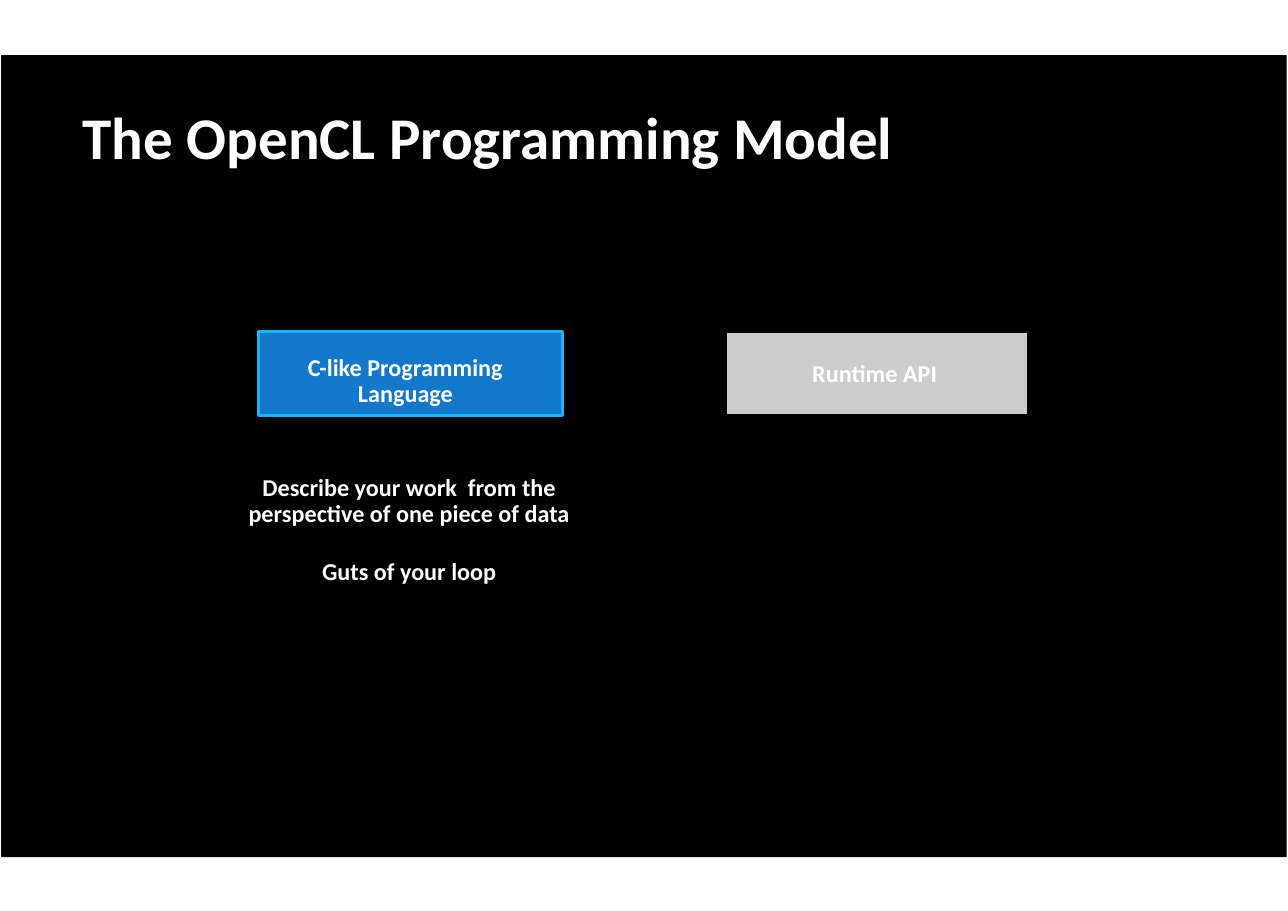
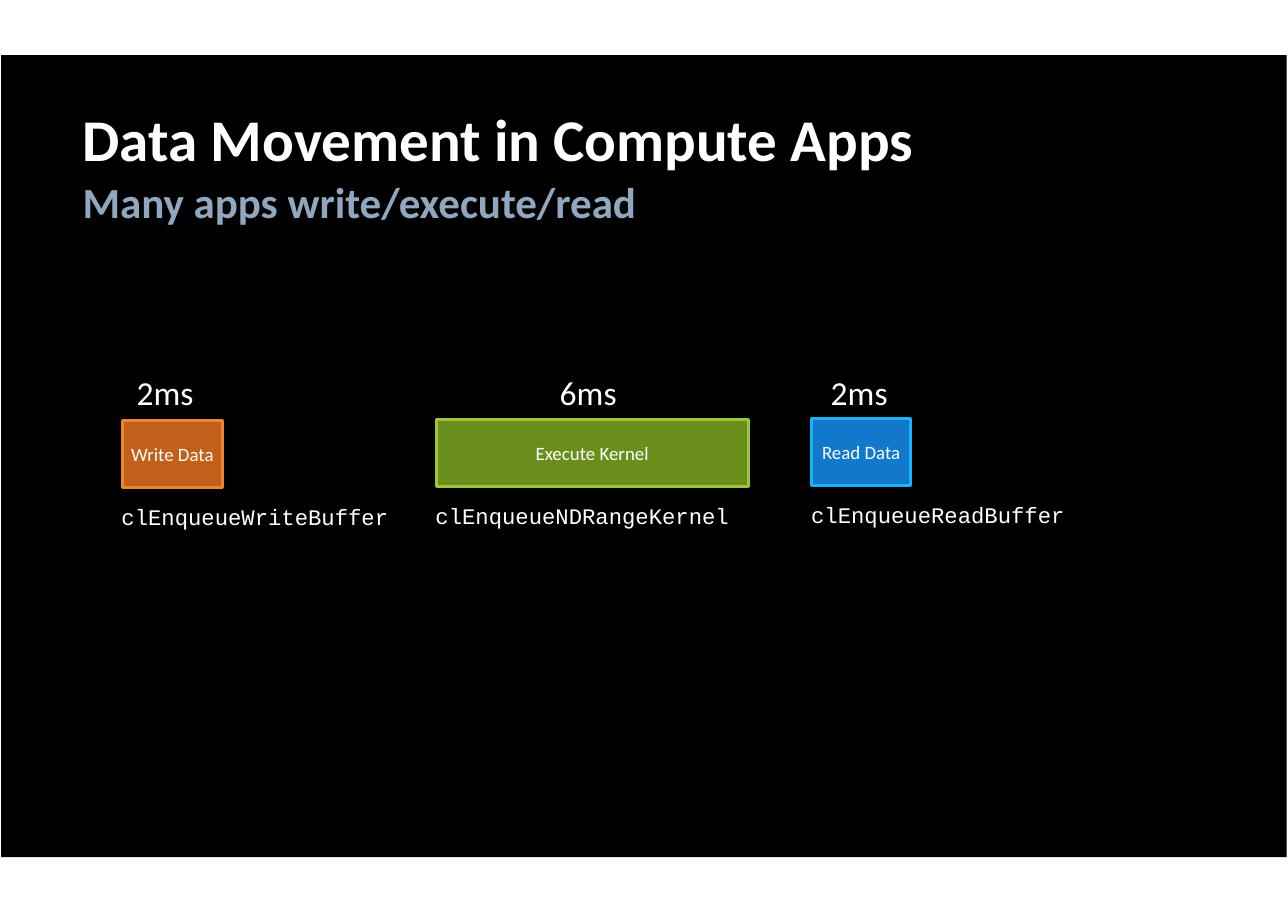
from dataclasses import dataclass

from pptx import Presentation
from pptx.dml.color import RGBColor
from pptx.enum.shapes import MSO_SHAPE
from pptx.enum.text import MSO_ANCHOR, MSO_AUTO_SIZE, PP_ALIGN
from pptx.shapes.autoshape import Shape
from pptx.slide import Slide
from pptx.text.text import TextFrame
from pptx.util import Pt

RECT = MSO_SHAPE.RECTANGLE
LEFT, CENTER = PP_ALIGN.LEFT, PP_ALIGN.CENTER
TOP, MIDDLE = MSO_ANCHOR.TOP, MSO_ANCHOR.MIDDLE
NO_FIT = MSO_AUTO_SIZE.NONE
TITLE_ONLY = 5


@dataclass(frozen=True)
class Theme:
    """Colours, fonts and type sizes of the deck."""
    black: str = "000000"
    white: str = "FFFFFF"
    subtitle: str = "90A7BF"
    grey: str = "CCCCCC"
    blue: str = "1178CC"
    blue_edge: str = "19B4FC"
    orange: str = "C15F1B"
    orange_edge: str = "EC8430"
    green: str = "6A8E1C"
    green_edge: str = "9BC63A"
    font: str = "Calibri"
    mono: str = "Courier New"
    title_size: float = 38.6
    subtitle_size: float = 28.1
    time_size: float = 21.9
    body_size: float = 15.8
    call_size: float = 14.5
    bar_size: float = 12.3


T = Theme()


@dataclass(frozen=True)
class Part:
    """A labelled half of the programming model."""
    x: float
    label: str
    fill: str
    edge: str
    insets: tuple[float, float, float, float]


@dataclass(frozen=True)
class Stage:
    """A timed step of a compute app."""
    x: float
    y: float
    w: float
    label: str
    time: str
    time_indent: float
    call: str
    fill: str
    edge: str


PARTS = [
    Part(169.2, "C-like Programming Language", T.blue, T.blue_edge, (20, 10, 27, 0)),
    Part(473.8, "Runtime API", T.grey, T.black, (20, 1, 23, 0)),
]
STAGES = [
    Stage(79.9, 275, 65.5, "Write Data", "2ms", 9.4, "clEnqueueWriteBuffer",
          T.orange, T.orange_edge),
    Stage(285.1, 274.3, 203.8, "Execute Kernel", "6ms", 80.7, "clEnqueueNDRangeKernel",
          T.green, T.green_edge),
    Stage(530.6, 273.6, 64.4, "Read Data", "2ms", 12.3, "clEnqueueReadBuffer",
          T.blue, T.blue_edge),
]


def write(tf: TextFrame, *texts: str, size: float, color: str = T.white,
          font: str = T.font, bold: bool = False, align: PP_ALIGN = LEFT,
          anchor: MSO_ANCHOR = TOP, spacing: float | None = None, gap: float = 0,
          insets: tuple[float, float, float, float] = (0, 0, 0, 0)) -> None:
    """Fill a frame with one formatted paragraph per text."""
    tf.auto_size, tf.word_wrap, tf.vertical_anchor = NO_FIT, True, anchor
    tf.margin_left, tf.margin_top, tf.margin_right, tf.margin_bottom = map(Pt, insets)
    for i, text in enumerate(texts):
        p = tf.add_paragraph() if i else tf.paragraphs[0]
        p.alignment = align
        p.space_before = Pt(gap if i else 0)
        if spacing:
            p.line_spacing = Pt(spacing)
        r = p.add_run()
        r.text = text
        r.font.name, r.font.size, r.font.bold = font, Pt(size), bold
        r.font.color.rgb = RGBColor.from_string(color)


def add_text(s: Slide, x: float, y: float, w: float, h: float, *texts: str, **fmt) -> None:
    """Place a text box."""
    write(s.shapes.add_textbox(Pt(x), Pt(y), Pt(w), Pt(h)).text_frame, *texts, **fmt)


def add_rect(s: Slide, x: float, y: float, w: float, h: float, fill: str,
             edge: str | None = None) -> Shape:
    """Draw a flat rectangle with an optional outline."""
    sp = s.shapes.add_shape(RECT, Pt(x), Pt(y), Pt(w), Pt(h))
    sp.shadow.inherit = False
    sp.fill.solid()
    sp.fill.fore_color.rgb = RGBColor.from_string(fill)
    if edge:
        sp.line.color.rgb = RGBColor.from_string(edge)
        sp.line.width = Pt(2)
    else:
        sp.line.fill.background()
    return sp


def add_slide(prs: Presentation, title: str, top: float) -> Slide:
    """Start a slide with the black panel behind its title."""
    s = prs.slides.add_slide(prs.slide_layouts[TITLE_ONLY])
    panel = add_rect(s, 0.7, 36, 840.2, 524.2, T.black)
    s.shapes.element.insert(2, panel.element)
    sp = s.shapes.title
    sp.left, sp.top, sp.width, sp.height = Pt(54), Pt(top), Pt(734), Pt(42)
    write(sp.text_frame, title, size=T.title_size, bold=True, spacing=41)
    return s


def build_model(prs: Presentation) -> None:
    """Build the programming model slide."""
    s = add_slide(prs, "The OpenCL Programming Model", 71)
    for part in PARTS:
        sp = add_rect(s, part.x, 216.5, 198.7, 55, part.fill, part.edge)
        write(sp.text_frame, part.label, size=T.body_size, bold=True, align=CENTER,
              anchor=MIDDLE, spacing=17, insets=part.insets)
    add_text(s, 159.5, 310.4, 216, 74,
             "Describe your work  from the perspective of one piece of data",
             "Guts of your loop", size=T.body_size, bold=True, align=CENTER,
             spacing=17, gap=21)


def build_movement(prs: Presentation) -> None:
    """Build the data movement slide."""
    s = add_slide(prs, "Data Movement in Compute Apps", 72.3)
    add_text(s, 54, 113.3, 734, 36, "Many apps write/execute/read",
             size=T.subtitle_size, color=T.subtitle, bold=True, spacing=35)
    for stage in STAGES:
        sp = add_rect(s, stage.x, stage.y, stage.w, 43.9, stage.fill, stage.edge)
        write(sp.text_frame, stage.label, size=T.bar_size, align=CENTER, anchor=MIDDLE)
        add_text(s, stage.x + stage.time_indent, 246.2, 50, 24, stage.time,
                 size=T.time_size, spacing=23)
        add_text(s, stage.x - 0.5, stage.y + 51.5, 200, 20, stage.call,
                 size=T.call_size, font=T.mono, spacing=20)


def main() -> None:
    """Build and save the deck."""
    prs = Presentation()
    prs.slide_width, prs.slide_height = Pt(841.68), Pt(595.44)
    build_model(prs)
    build_movement(prs)
    prs.save("out.pptx")


if __name__ == "__main__":
    main()
